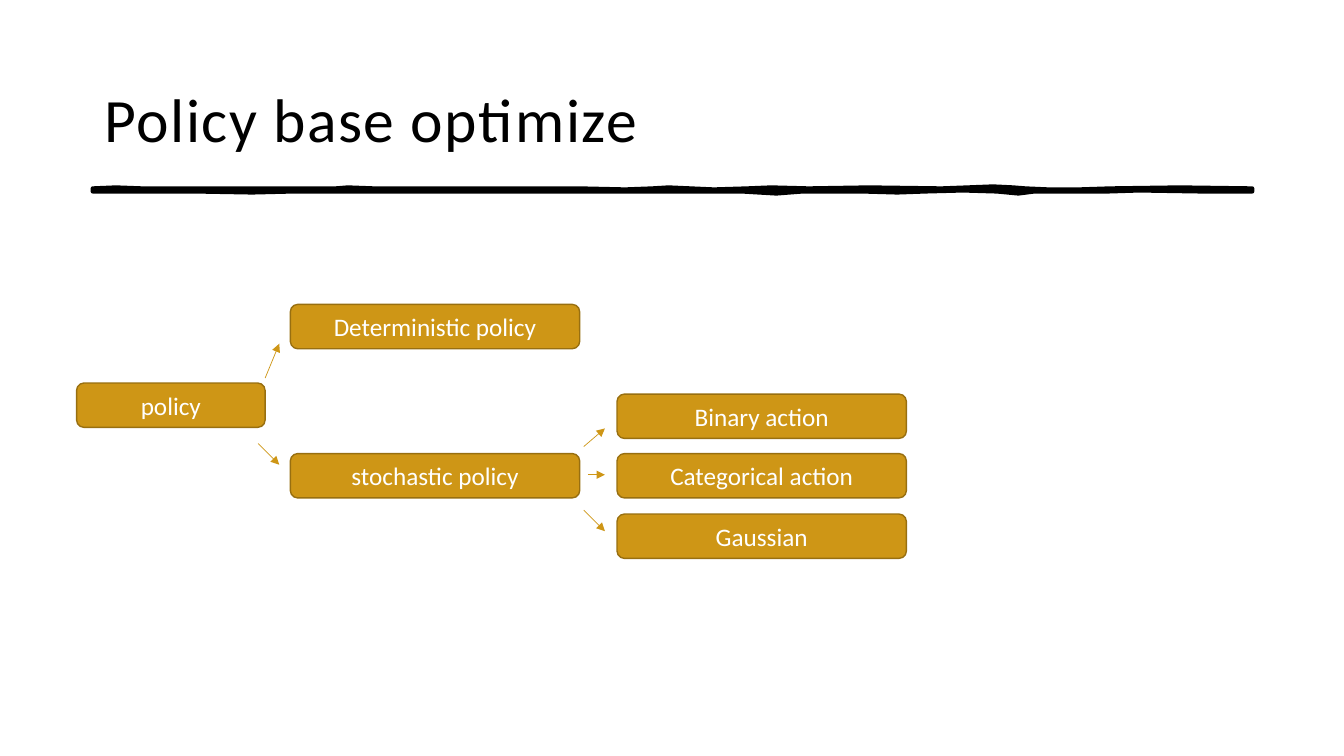
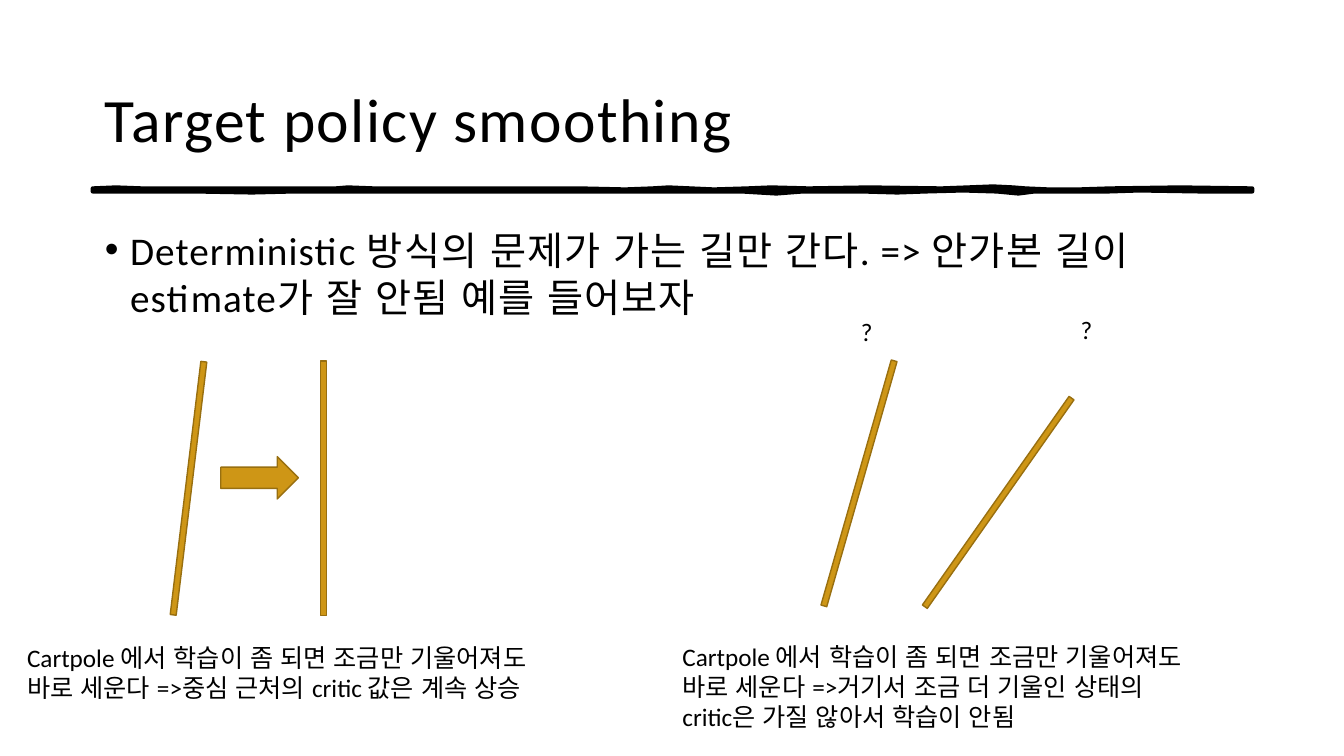
"""Build two slides on policy types and target policy smoothing."""
from lxml import etree
from pptx import Presentation
from pptx import util as u
from pptx.dml.color import RGBColor
from pptx.enum import shapes, text
from pptx.oxml import ns

PX = 9144
FONT = "Calibri"
ASIAN = "Arial"
HUES = {"ink": "000000", "gold": "CE9616", "edge": "986F10", "pale": "FFFFFF"}
KIND = shapes.MSO_SHAPE

BOX_H = 44
BOXES = [
    ("policy", 76, 380, 187),
    ("Deterministic policy", 288, 302, 287),
    ("stochastic policy", 288, 450, 287),
    ("Binary action", 612, 391, 287),
    ("Categorical action", 612, 450, 287),
    ("Gaussian", 612, 510, 287),
]
ARROWS = [
    (263, 375, 277, 341),
    (256, 440, 277, 461),
    (579, 506, 600, 527),
    (583, 471, 600, 471),
    (579, 443, 600, 425),
]

POINT = "Deterministic 방식의 문제가 가는 길만 간다. => 안가본 길이 estimate가 잘 안됨 예를 들어보자"
ROD_W, ROD_H = 6, 253
RODS = [(184, 358, 6.9), (318, 358, 0), (849, 353, 16), (987, 372, 35.1)]
NOTES = [
    ("?", 844, 309, 100, 40),
    ("?", 1062, 307, 100, 40),
    ("Cartpole 에서 학습이 좀 되면 조금만 기울어져도 바로 세운다 =>"
     "중심 근처의 critic 값은 계속 상승", 17, 632, 530, 101),
    ("Cartpole 에서 학습이 좀 되면 조금만 기울어져도 바로 세운다 =>"
     "거기서 조금 더 기울인 상태의 critic은 가질 않아서 학습이 안됨", 667, 631, 530, 101),
]

RULE_TOP = [
    (92, 187), (115, 186), (141, 187), (212, 187), (333, 187), (345, 186.5),
    (371, 187), (465, 187), (537, 187), (575, 187), (620, 188), (647, 187),
    (663, 186), (685, 187), (708, 188), (741, 187), (765, 185.5), (802, 187),
    (862, 186.5), (934, 187), (960, 186), (985, 185), (1005, 185.5),
    (1017, 187), (1040, 188.5), (1070, 188), (1101, 187), (1170, 186.5),
    (1242, 187),
]
RULE_LOW = [
    (1242, 190), (1193, 190), (1130, 189), (1098, 190), (1060, 190),
    (1026, 190.5), (1010, 191.5), (989, 190), (955, 189), (917, 190),
    (890, 191), (856, 190), (826, 189.5), (796, 190), (770, 191.5),
    (736, 190), (705, 190.5), (675, 190), (645, 189.5), (615, 190.5),
    (592, 190), (483, 190.5), (422, 190), (339, 190.5), (290, 190),
    (250, 191), (195, 190.5), (160, 189.5), (92, 190),
]


def rgb(hue):
    return RGBColor.from_string(HUES[hue])


def px(*nums):
    return [u.Emu(round(n * PX)) for n in nums]


def write(frame, words, size, hue="ink", gap=0):
    frame.word_wrap = True
    para = frame.paragraphs[0]
    run = para.add_run()
    run.text = words
    run.font.name, run.font.size = FONT, u.Pt(size)
    run.font.color.rgb = rgb(hue)
    etree.SubElement(run.font._element, ns.qn("a:ea"), typeface=ASIAN)
    if gap:
        run.font._element.set("spc", str(gap))
    return para


def inset(frame):
    frame.margin_left, frame.margin_top, frame.margin_right, frame.margin_bottom = px(
        12, 12, 12, 10)


def paint(item, fill, line, wide):
    item.shadow.inherit = False
    item.fill.solid()
    item.fill.fore_color.rgb = rgb(fill)
    item.line.color.rgb = rgb(line)
    item.line.width = u.Pt(wide)


def block(slide, kind, *spot):
    item = slide.shapes.add_shape(kind, *px(*spot))
    paint(item, "gold", "edge", 1)
    return item


def arrow(slide, *ends):
    item = slide.shapes.add_connector(shapes.MSO_CONNECTOR.STRAIGHT, *px(*ends))
    item.line.color.rgb = rgb("gold")
    item.line.width = u.Pt(0.5)
    etree.SubElement(item.line._get_or_add_ln(), ns.qn("a:tailEnd"), type="triangle")
    etree.SubElement(item._element.spPr, ns.qn("a:effectLst"))


def rule(slide):
    pen = slide.shapes.build_freeform(*RULE_TOP[0], scale=PX)
    pen.add_line_segments(RULE_TOP[1:] + RULE_LOW, close=True)
    paint(pen.convert_to_shape(), "ink", "ink", 3)


def start(deck, words):
    slide = deck.slides.add_slide(deck.slide_layouts.get_by_name("Title Only"))
    title = slide.shapes.title
    title.left, title.top, title.width, title.height = px(92, 40, 1150, 145)
    frame = title.text_frame
    inset(frame)
    frame.vertical_anchor = text.MSO_ANCHOR.MIDDLE
    para = write(frame, words, 44, gap=100)
    para.alignment = text.PP_ALIGN.LEFT
    para.line_spacing = 1.1
    rule(slide)
    return slide


def tree(slide):
    for words, left, top, wide in BOXES:
        item = block(slide, KIND.ROUNDED_RECTANGLE, left, top, wide, BOX_H)
        item.text_frame.vertical_anchor = text.MSO_ANCHOR.MIDDLE
        para = write(item.text_frame, words, 18, "pale")
        para.alignment = text.PP_ALIGN.CENTER
    for ends in ARROWS:
        arrow(slide, *ends)


def poles(slide):
    frame = slide.shapes.add_textbox(*px(92, 212, 1150, 465)).text_frame
    inset(frame)
    para = write(frame, POINT, 28, gap=80)
    para.space_before = u.Pt(10)
    props = para._p.get_or_add_pPr()
    props.set("marL", str(25 * PX))
    props.set("indent", str(-25 * PX))
    etree.SubElement(props, ns.qn("a:buFont"), typeface="Arial")
    etree.SubElement(props, ns.qn("a:buChar"), char="•")
    for left, top, turn in RODS:
        block(slide, KIND.RECTANGLE, left, top, ROD_W, ROD_H).rotation = turn
    block(slide, KIND.RIGHT_ARROW, 219, 453, 77, 42)
    for words, *spot in NOTES:
        frame = slide.shapes.add_textbox(*px(*spot)).text_frame
        write(frame, words, 18)
        frame.auto_size = text.MSO_AUTO_SIZE.SHAPE_TO_FIT_TEXT


def main():
    deck = Presentation()
    deck.slide_width, deck.slide_height = px(1333, 750)
    tree(start(deck, "Policy base optimize"))
    poles(start(deck, "Target policy smoothing"))
    deck.save("out.pptx")


if __name__ == "__main__":
    main()
